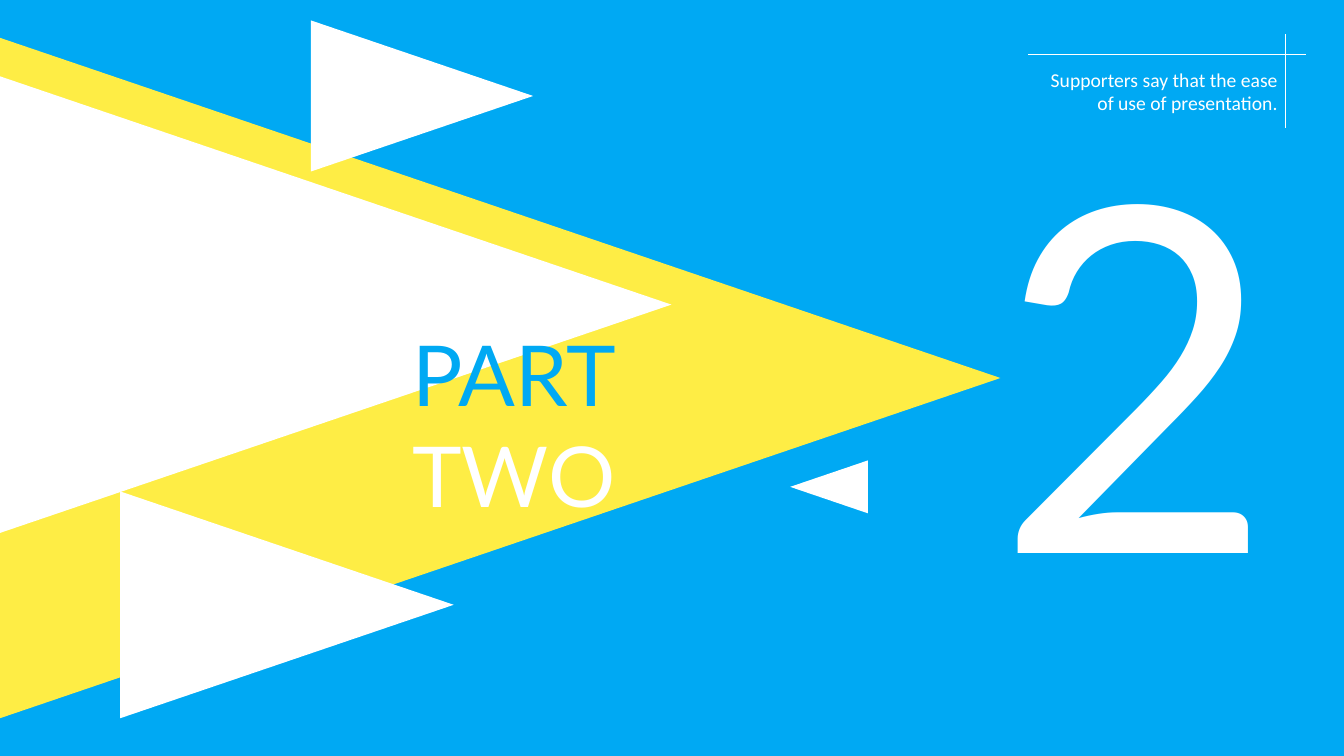
from dataclasses import dataclass

from lxml.etree import SubElement
from pptx import Presentation
from pptx.dml.color import RGBColor
from pptx.enum.shapes import MSO_CONNECTOR, MSO_SHAPE
from pptx.enum.text import MSO_ANCHOR, MSO_AUTO_SIZE, PP_ALIGN
from pptx.oxml.ns import qn
from pptx.util import Inches, Pt


@dataclass(frozen=True)
class Theme:
    blue: RGBColor = RGBColor(0x00, 0xA9, 0xF3)
    yellow: RGBColor = RGBColor(0xFE, 0xED, 0x45)
    white: RGBColor = RGBColor(0xFF, 0xFF, 0xFF)
    display: str = "Lato"
    body: str = "Calibri"
    numeral_size: int = 344
    title_size: int = 60
    caption_size: int = 14
    rule_width: float = 0.5


THEME = Theme()
SLIDE_W, SLIDE_H = Inches(13.33), Inches(7.5)
ASPECT = 1.47  # triangle length relative to its base


def grid(*steps):
    """Square grid: one step is a hundredth of the slide height."""
    return [round(n * SLIDE_H / 100) for n in steps]


def add_run(p, text, name, size, color):
    r = p.add_run()
    r.text = text
    for key, value in {"name": name, "size": Pt(size), "bold": False}.items():
        setattr(r.font, key, value)
    r.font.color.rgb = color


def format_frame(tf, **values):
    for key, value in values.items():
        setattr(tf, key, value)


def add_triangle(s, x, middle, base, color, rotation=90):
    """Triangle pointing sideways; x is its left edge on the slide."""
    length = base * ASPECT
    box = grid(x + (length - base) / 2, middle - length / 2, base, length)
    sp = s.shapes.add_shape(MSO_SHAPE.ISOSCELES_TRIANGLE, *box)
    sp.rotation = rotation
    sp.shadow.inherit = False
    sp.fill.solid()
    sp.fill.fore_color.rgb = color
    sp.line.fill.background()


def add_rule(s, x1, y1, x2, y2):
    line = s.shapes.add_connector(MSO_CONNECTOR.STRAIGHT, *grid(x1, y1, x2, y2))
    line.line.color.rgb = THEME.white
    line.line.width = Pt(THEME.rule_width)
    SubElement(line._element.spPr, qn("a:effectLst"))


def add_triangles(s):
    add_triangle(s, 0, 50, 90, THEME.yellow)
    for x, middle, base, rotation in (
        (41.1, 12.7, 20, 90),
        (15.9, 80, 30, 90),
        (104.5, 64.4, 7, 270),
        (0, 40.3, 60.4, 90),
    ):
        add_triangle(s, x, middle, base, THEME.white, rotation)


def add_numeral(s, x, y, w, h, text):
    tf = s.shapes.add_textbox(*grid(x, y, w, h)).text_frame
    format_frame(tf, word_wrap=False, auto_size=MSO_AUTO_SIZE.SHAPE_TO_FIT_TEXT)
    add_run(tf.paragraphs[0], text, THEME.display, THEME.numeral_size, THEME.white)


def add_caption(s, x, y, w, h, text):
    """Caption tucked under two crossing rules."""
    cross_x, cross_y = x + w - 2.7, y + 2.7
    add_rule(s, x, cross_y, x + w, cross_y)
    add_rule(s, cross_x, y, cross_x, y + h)
    box = grid(x, cross_y + 1.1, cross_x - x + 0.3, 7.6)
    tf = s.shapes.add_textbox(*box).text_frame
    format_frame(tf, word_wrap=True, auto_size=MSO_AUTO_SIZE.SHAPE_TO_FIT_TEXT)
    p = tf.paragraphs[0]
    p.alignment = PP_ALIGN.RIGHT
    add_run(p, text, THEME.body, THEME.caption_size, THEME.white)


def add_title(s, x, y, w, h, first, second):
    title = s.shapes.title
    title.left, title.top, title.width, title.height = grid(x, y, w, h)
    tf = title.text_frame
    format_frame(tf, word_wrap=True, auto_size=MSO_AUTO_SIZE.NONE,
                 vertical_anchor=MSO_ANCHOR.TOP)
    p = tf.paragraphs[0]
    p.alignment = PP_ALIGN.LEFT
    add_run(p, first, THEME.display, THEME.title_size, THEME.blue)
    p.add_line_break()
    add_run(p, second, THEME.display, THEME.title_size, THEME.white)
    # Bring the title in front of the triangles
    s.shapes._spTree.append(title._element)


def build_section_slide(prs):
    s = prs.slides.add_slide(prs.slide_layouts[5])
    s.background.fill.solid()
    s.background.fill.fore_color.rgb = THEME.blue
    add_triangles(s)
    add_numeral(s, 130.3, 8.8, 35.9, 78.5, "2")
    add_caption(s, 136, 4.5, 36.7, 12.4,
                "Supporters say that the ease of use of presentation.")
    add_title(s, 53.2, 42, 57.2, 28, "PART", "TWO")


def main():
    prs = Presentation()
    prs.slide_width, prs.slide_height = SLIDE_W, SLIDE_H
    build_section_slide(prs)
    prs.save("out.pptx")


if __name__ == "__main__":
    main()
